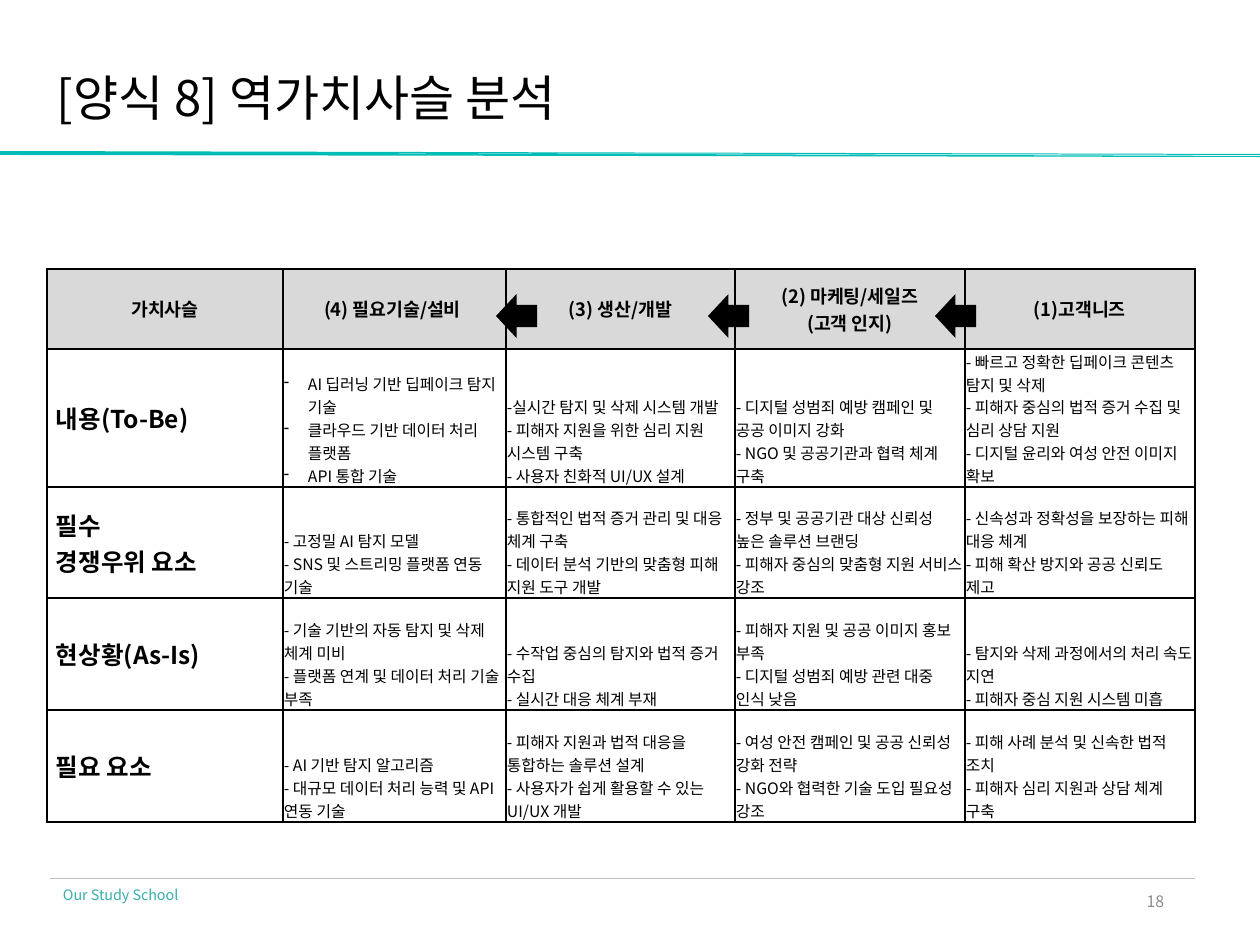
"""Build the reverse value chain analysis slide."""
from copy import deepcopy

from lxml import etree
from pptx import Presentation, util as u
from pptx.dml.color import RGBColor
from pptx.enum import shapes, text
from pptx.oxml.ns import qn

PX = u.Inches(1) / 126
FONT = "Noto Sans CJK KR"
BLACK = RGBColor(0x00, 0x00, 0x00)
TEAL = RGBColor(0x01, 0xBC, 0xB6)
FOOTER_TEAL = RGBColor(0x34, 0xAE, 0xAA)
NUMBER_GRAY = RGBColor(0x8C, 0x8C, 0x8C)
RULE_GRAY = RGBColor(0xBE, 0xBE, 0xBE)
HEADER_GRAY = RGBColor(0xD9, 0xD9, 0xD9)
LEFT, CENTER, RIGHT = text.PP_ALIGN.LEFT, text.PP_ALIGN.CENTER, text.PP_ALIGN.RIGHT
TOP, MIDDLE, BOTTOM = text.MSO_ANCHOR.TOP, text.MSO_ANCHOR.MIDDLE, text.MSO_ANCHOR.BOTTOM


def px(*lengths):
    return [u.Emu(round(length * PX)) for length in lengths]


def write(paragraph, wording, size, color, bold=False, alignment=LEFT):
    paragraph.text = wording
    paragraph.alignment = alignment
    for run in paragraph.runs:
        for name, value in {"size": u.Pt(size), "bold": bold, "name": FONT}.items():
            setattr(run.font, name, value)
        run.font.color.rgb = color
        properties = run.font._element
        etree.SubElement(properties, qn("a:ea"), typeface=FONT)
    for line_break in paragraph._p.findall(qn("a:br")):
        line_break.insert(0, deepcopy(properties))


presentation = Presentation()
presentation.slide_width, presentation.slide_height = px(1260, 945)
slide = presentation.slides.add_slide(presentation.slide_layouts[6])

builder = slide.shapes.build_freeform(0, 152, scale=PX)
builder.add_line_segments([(0, 155), (1260, 157), (1260, 156)])
builder.move_to(0, 151)
builder.add_line_segments([(0, 152), (1260, 155), (1260, 154)])
band = builder.convert_to_shape()
band.shadow.inherit = False
band.fill.solid()
band.fill.fore_color.rgb = TEAL
band.line.fill.background()

rule = slide.shapes.add_connector(shapes.MSO_CONNECTOR.STRAIGHT, *px(50, 878, 1195, 878))
rule.line.color.rgb = RULE_GRAY
rule.line.width = u.Pt(0.5)
etree.SubElement(rule._element.spPr, qn("a:effectLst"))

labels = [
    ("Our Study School", (50, 880, 213, 30), (13, 6), TOP, 8.2, FOOTER_TEAL, LEFT),
    ("18", (890, 876, 283, 50), (9, 5), MIDDLE, 9, NUMBER_GRAY, RIGHT),
    ("[양식 8] 역가치사슬 분석", (57, 67, 1138, 59), (0, 0), MIDDLE, 28, BLACK, LEFT),
]
for wording, place, (side, end), anchor, size, color, alignment in labels:
    frame = slide.shapes.add_textbox(*px(*place)).text_frame
    frame.word_wrap = True
    frame.vertical_anchor = anchor
    frame.margin_left, frame.margin_right, frame.margin_top, frame.margin_bottom = px(side, side, end, end)
    write(frame.paragraphs[0], wording, size, color, alignment=alignment)

headers = ["가치사슬", "(4) 필요기술/설비 ", "(3) 생산/개발", "(2) 마케팅/세일즈|(고객 인지)", "(1)고객니즈"]
body = [
    ["내용(To-Be)",
     "AI 딥러닝 기반 딥페이크 탐지 기술|클라우드 기반 데이터 처리 플랫폼|API 통합 기술",
     "-실시간 탐지 및 삭제 시스템 개발\n- 피해자 지원을 위한 심리 지원 시스템 구축\n- 사용자 친화적 UI/UX 설계",
     "- 디지털 성범죄 예방 캠페인 및 공공 이미지 강화\n- NGO 및 공공기관과 협력 체계 구축",
     "- 빠르고 정확한 딥페이크 콘텐츠 탐지 및 삭제\n- 피해자 중심의 법적 증거 수집 및 심리 상담 지원\n"
     "- 디지털 윤리와 여성 안전 이미지 확보"],
    ["필수 \n경쟁우위 요소",
     "- 고정밀 AI 탐지 모델\n- SNS 및 스트리밍 플랫폼 연동 기술",
     "- 통합적인 법적 증거 관리 및 대응 체계 구축\n- 데이터 분석 기반의 맞춤형 피해 지원 도구 개발",
     "- 정부 및 공공기관 대상 신뢰성 높은 솔루션 브랜딩\n- 피해자 중심의 맞춤형 지원 서비스 강조",
     "- 신속성과 정확성을 보장하는 피해 대응 체계\n- 피해 확산 방지와 공공 신뢰도 제고"],
    ["현상황(As-Is)",
     "- 기술 기반의 자동 탐지 및 삭제 체계 미비\n- 플랫폼 연계 및 데이터 처리 기술 부족",
     "- 수작업 중심의 탐지와 법적 증거 수집\n- 실시간 대응 체계 부재",
     "- 피해자 지원 및 공공 이미지 홍보 부족\n- 디지털 성범죄 예방 관련 대중 인식 낮음",
     "- 탐지와 삭제 과정에서의 처리 속도 지연\n- 피해자 중심 지원 시스템 미흡"],
    ["필요 요소",
     "- AI 기반 탐지 알고리즘\n- 대규모 데이터 처리 능력 및 API 연동 기술",
     "- 피해자 지원과 법적 대응을 통합하는 솔루션 설계\n- 사용자가 쉽게 활용할 수 있는 UI/UX 개발",
     "- 여성 안전 캠페인 및 공공 신뢰성 강화 전략\n- NGO와 협력한 기술 도입 필요성 강조",
     "- 피해 사례 분석 및 신속한 법적 조치\n- 피해자 심리 지원과 상담 체계 구축"],
]
widths = [236, 223, 229, 230, 230]
heights = [80, 138, 111, 112, 112]
place = px(47, 269, sum(widths), sum(heights))
table = slide.shapes.add_table(len(heights), len(widths), *place).table
table.first_row = table.horz_banding = False
for column, width in zip(table.columns, px(*widths)):
    column.width = width
for row, height in zip(table.rows, px(*heights)):
    row.height = height

for row_index, wordings in enumerate([headers, *body]):
    for column_index, wording in enumerate(wordings):
        cell = table.cell(row_index, column_index)
        is_header = row_index == 0
        is_heading = is_header or column_index == 0
        margins = px(9, 9, 5, 5) if is_heading else px(1, 1, 1, 0)
        for side, margin in zip(["left", "right", "top", "bottom"], margins):
            setattr(cell, f"margin_{side}", margin)
        cell.vertical_anchor = MIDDLE if is_heading else BOTTOM
        for tag in ["a:lnL", "a:lnR", "a:lnT", "a:lnB"]:
            border = etree.SubElement(cell._tc.tcPr, qn(tag), w=str(u.Pt(1)))
            fill = etree.SubElement(border, qn("a:solidFill"))
            etree.SubElement(fill, qn("a:srgbClr"), val=str(BLACK))
        if is_header:
            cell.fill.solid()
            cell.fill.fore_color.rgb = HEADER_GRAY
        else:
            cell.fill.background()
        size = 10.5 if is_header else 14 if is_heading else 9
        parts = wording.split("|")
        for index, part in enumerate(parts):
            frame = cell.text_frame
            paragraph = frame.add_paragraph() if index else frame.paragraphs[0]
            write(paragraph, part, size, BLACK, is_heading, CENTER if is_header else LEFT)
            if len(parts) > 1 and not is_header:
                properties = paragraph._p.get_or_add_pPr()
                indent = px(24)[0]
                properties.set("marL", str(indent))
                properties.set("indent", str(-indent))
                etree.SubElement(properties, qn("a:buChar"), char="-")

for left in [935, 708, 496]:
    arrow = slide.shapes.add_shape(shapes.MSO_SHAPE.LEFT_ARROW, *px(left, 294, 41, 44))
    arrow.shadow.inherit = False
    arrow.fill.solid()
    arrow.fill.fore_color.rgb = BLACK
    arrow.line.fill.background()

presentation.save("out.pptx")
